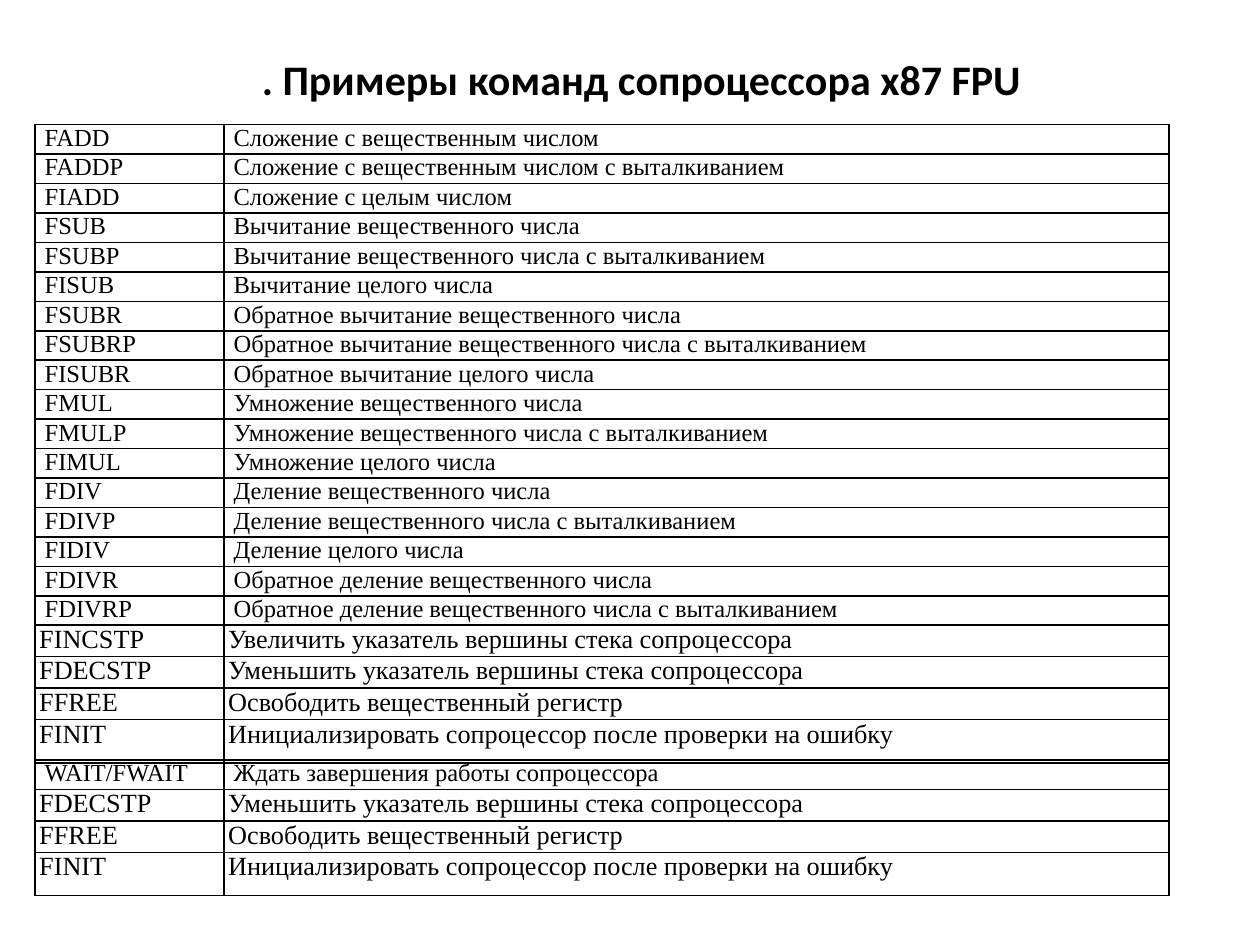
from lxml.etree import SubElement
from pptx import Presentation
from pptx.dml.color import RGBColor
from pptx.enum.text import MSO_ANCHOR as Anchor, PP_ALIGN as Align
from pptx.oxml.ns import qn
from pptx.util import Cm, Pt

BLACK = RGBColor(0, 0, 0)
LEFT = 0.71
COLUMN_WIDTHS = (3.81, 19.05)

# Text size in points, side margin and row height in cm
COMPACT = {"size": 14, "margin": 0.19, "height": 0.54}
LARGE = {"size": 15, "margin": 0.08, "height": 0.58}
LARGE_LAST = {**LARGE, "height": 0.87}

ARITHMETIC = [
    ("FADD", "Сложение с вещественным числом"),
    ("FADDP", "Сложение с вещественным числом с выталкиванием"),
    ("FIADD", "Сложение с целым числом"),
    ("FSUB", "Вычитание вещественного числа"),
    ("FSUBP", "Вычитание вещественного числа с выталкиванием"),
    ("FISUB", "Вычитание целого числа"),
    ("FSUBR", "Обратное вычитание вещественного числа"),
    ("FSUBRP", "Обратное вычитание вещественного числа с выталкиванием"),
    ("FISUBR", "Обратное вычитание целого числа"),
    ("FMUL", "Умножение вещественного числа"),
    ("FMULP", "Умножение вещественного числа с выталкиванием"),
    ("FIMUL", "Умножение целого числа"),
    ("FDIV", "Деление вещественного числа"),
    ("FDIVP", "Деление вещественного числа с выталкиванием"),
    ("FIDIV", "Деление целого числа"),
    ("FDIVR", "Обратное деление вещественного числа"),
    ("FDIVRP", "Обратное деление вещественного числа с выталкиванием"),
]
INCREMENT = ("FINCSTP", "Увеличить указатель вершины стека сопроцессора")
WAIT = ("WAIT/FWAIT", "Ждать завершения работы сопроцессора")
STACK_CONTROL = [
    ("FDECSTP", "Уменьшить указатель вершины стека сопроцессора"),
    ("FFREE", "Освободить вещественный регистр"),
    ("FINIT", "Инициализировать сопроцессор после проверки на ошибку"),
]


def apply_format(target, values):
    for name, value in values.items():
        setattr(target, name, value)


class SlideBuilder:
    title_font = {"name": "Calibri", "size": Pt(24), "bold": True}
    table_font = "Times New Roman"
    border_width = Pt(1)

    def __init__(self, slide):
        self.slide = slide

    def text_run(self, paragraph, text, font_format):
        run = paragraph.add_run()
        run.text = text
        apply_format(run.font, font_format)
        run.font.color.rgb = BLACK

    def title(self, text, left, top, width, height):
        shape = self.slide.shapes.add_textbox(Cm(left), Cm(top), Cm(width), Cm(height))
        frame = shape.text_frame
        apply_format(frame, {"word_wrap": True, "vertical_anchor": Anchor.MIDDLE})
        paragraph = frame.paragraphs[0]
        paragraph.alignment = Align.CENTER
        self.text_run(paragraph, text, self.title_font)

    def borders(self, cell):
        properties = cell._tc.get_or_add_tcPr()
        for side in ("a:lnL", "a:lnR", "a:lnT", "a:lnB"):
            line = SubElement(properties, qn(side), w=str(self.border_width))
            fill = SubElement(line, qn("a:solidFill"))
            SubElement(fill, qn("a:srgbClr"), val=str(BLACK))

    def cell(self, cell, text, style):
        margin = Cm(style["margin"])
        apply_format(cell, {"margin_left": margin, "margin_right": margin,
                            "margin_top": 0, "margin_bottom": 0})
        self.borders(cell)
        cell.fill.background()
        self.text_run(cell.text_frame.paragraphs[0], text,
                      {"name": self.table_font, "size": Pt(style["size"])})

    def command_table(self, top, commands, styles):
        """Add a two-column table with one row style per command."""
        height = sum(style["height"] for style in styles)
        table = self.slide.shapes.add_table(
            len(commands), len(COLUMN_WIDTHS),
            Cm(LEFT), Cm(top), Cm(sum(COLUMN_WIDTHS)), Cm(height)).table
        apply_format(table, {"first_row": False, "horz_banding": False})
        for column, width in zip(table.columns, COLUMN_WIDTHS):
            column.width = Cm(width)
        for row, command, style in zip(table.rows, commands, styles):
            row.height = Cm(style["height"])
            for cell, text in zip(row.cells, command):
                self.cell(cell, text, style)


def main():
    presentation = Presentation()
    apply_format(presentation, {"slide_width": Cm(25.4), "slide_height": Cm(19.05)})
    builder = SlideBuilder(presentation.slides.add_slide(presentation.slide_layouts[6]))
    builder.title(". Примеры команд сопроцессора x87 FPU", 1.5, 0.58, 22.86, 2)
    builder.command_table(2.51, ARITHMETIC, [COMPACT] * len(ARITHMETIC))
    control_styles = [LARGE, LARGE, LARGE_LAST]
    builder.command_table(12.6, [INCREMENT, *STACK_CONTROL], [LARGE, *control_styles])
    builder.command_table(15.32, [WAIT, *STACK_CONTROL], [COMPACT, *control_styles])
    presentation.save("out.pptx")


if __name__ == "__main__":
    main()
